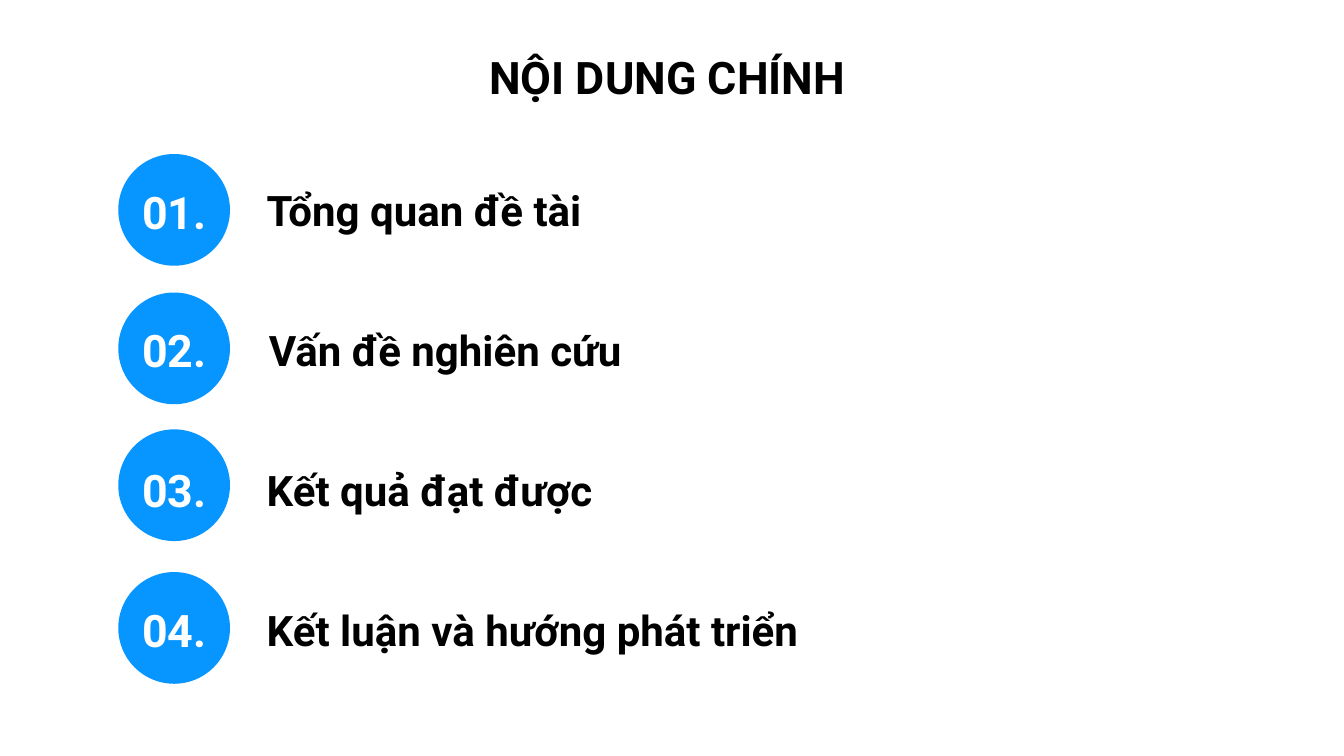
"""Build the agenda slide with four numbered topics."""
from pptx import Presentation
from pptx.dml.color import RGBColor
from pptx.enum.shapes import MSO_SHAPE
from pptx.enum.text import MSO_ANCHOR, MSO_AUTO_SIZE, PP_ALIGN
from pptx.util import Pt

OVAL = MSO_SHAPE.OVAL
TOP = MSO_ANCHOR.TOP
NO_AUTOFIT = MSO_AUTO_SIZE.NONE
LEFT, CENTER = PP_ALIGN.LEFT, PP_ALIGN.CENTER
BLUE = RGBColor(0x07, 0x95, 0xFF)
BLACK = RGBColor(0, 0, 0)
WHITE = RGBColor(0xFF, 0xFF, 0xFF)
FONT = "Roboto"
DIAMETER = 119.7


def place(shape, left, top, width, height):
    shape.left, shape.top = Pt(left), Pt(top)
    shape.width, shape.height = Pt(width), Pt(height)


def write(box, text, size, color, align):
    frame = box.text_frame
    frame.margin_left = frame.margin_right = 0
    frame.margin_top = frame.margin_bottom = 0
    frame.word_wrap = True
    frame.auto_size = NO_AUTOFIT
    frame.vertical_anchor = TOP
    para = frame.paragraphs[0]
    para.alignment = align
    para.line_spacing = Pt(size * 1.4)
    para.space_before = Pt(0)
    span = para.add_run()
    span.text = text
    span.font.name = FONT
    span.font.size = Pt(size)
    span.font.bold = True
    span.font.color.rgb = color


deck = Presentation()
deck.slide_width, deck.slide_height = Pt(1440), Pt(810)
page = deck.slides.add_slide(deck.slide_layouts[5])
page.background.fill.solid()
page.background.fill.fore_color.rgb = WHITE

title = page.shapes.title
place(title, 524.2, 43.9, 429.8, 65.5)
write(title, "NỘI DUNG CHÍNH", 48, BLACK, LEFT)

topics = [
    ("Tổng quan đề tài", 165, 187.9, 285.8, 188.6),
    ("Vấn đề nghiên cứu", 313.4, 336.2, 288, 339.1),
    ("Kết quả đạt được", 460, 486, 285.8, 488.9),
    ("Kết luận và hướng phát triển", 612.9, 635.8, 285.8, 638.6),
]
for number, (topic, circle_top, number_top, label_left, label_top) in enumerate(topics, 1):
    circle = page.shapes.add_shape(OVAL, Pt(126.7), Pt(circle_top), Pt(DIAMETER), Pt(DIAMETER))
    circle.shadow.inherit = False
    circle.fill.solid()
    circle.fill.fore_color.rgb = BLUE
    circle.line.fill.background()

    number_box = page.shapes.add_textbox(Pt(141.1), Pt(number_top), Pt(91.4), Pt(65.5))
    write(number_box, f"{number:02d}.", 48, WHITE, CENTER)

    label_box = page.shapes.add_textbox(Pt(label_left), Pt(label_top), Pt(627), Pt(60.5))
    write(label_box, topic, 45, BLACK, LEFT)

deck.save("out.pptx")
